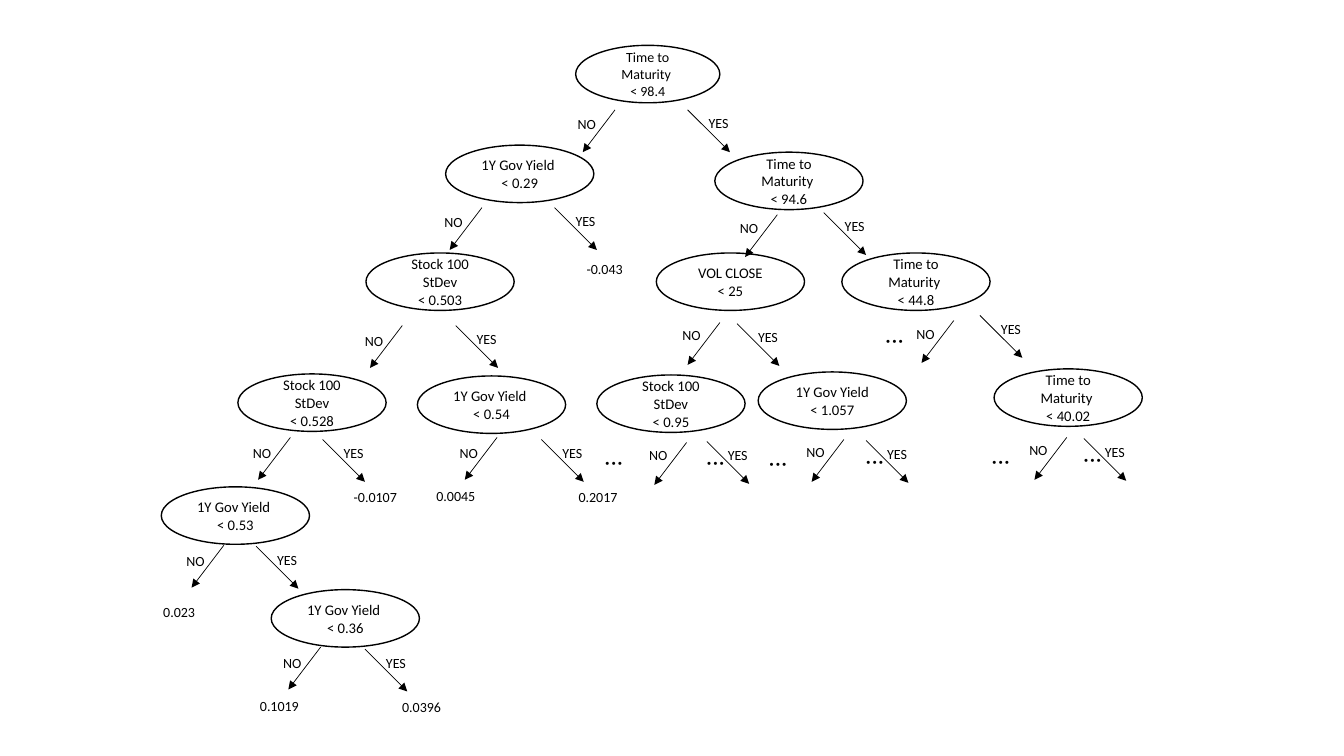
from lxml.etree import SubElement
from pptx import Presentation
from pptx.dml.color import RGBColor
from pptx.enum.shapes import MSO_CONNECTOR, MSO_SHAPE
from pptx.enum.text import MSO_ANCHOR, MSO_AUTO_SIZE, PP_ALIGN
from pptx.oxml.ns import qn
from pptx.util import Emu, Pt

BLACK = RGBColor(0, 0, 0)
FONT = "Calibri"
SCALE = 9144

TERM = "Time to Maturity "
YIELD = "1Y Gov Yield "
INDEX = "Stock 100 StDev"

NODES = [
    (709, 151, TERM, "< 94.6"),
    (442, 144, YIELD, "< 0.29"),
    (363, 251, INDEX, "< 0.503"),
    (651, 251, "VOL CLOSE", "< 25"),
    (835, 251, TERM, "< 44.8"),
    (236, 371, INDEX, "< 0.528"),
    (414, 373, YIELD, "< 0.54"),
    (592, 372, INDEX, "< 0.95"),
    (752, 369, "1Y Gov Yield", "< 1.057"),
    (986, 366, TERM, "< 40.02"),
    (160, 483, YIELD, "< 0.53"),
    (269, 585, YIELD, "< 0.36"),
]

SPLITS = [
    ((610, 109, 1), (682, 109)),
    ((478, 206, 1), (550, 206)),
    ((771, 213, 0), (817, 211)),
    ((399, 323, 2), (452, 323)),
    ((714, 320, -1), (731, 321)),
    ((946, 318, 0), (972, 313)),
    ((288, 434, 2), (320, 436)),
    ((493, 434, 2), (537, 436)),
    ((681, 439, -1), (701, 438)),
    ((837, 436, -1), (859, 437)),
    ((1058, 434, -1), (1075, 435)),
    ((222, 541, 2), (254, 542)),
    ((318, 642, 2), (362, 644)),
]

LEAVES = [
    (572, 254, 57, "-0.043"),
    (341, 480, 64, "-0.0107"),
    (423, 479, 60, "0.0045"),
    (564, 480, 60, "0.2017"),
    (152, 594, 52, "0.023"),
    (248, 687, 60, "0.1019"),
    (389, 688, 60, "0.0396"),
]

DOTS = [
    (588, 449, 39),
    (689, 449, 39),
    (751, 450, 39),
    (847, 448, 39),
    (886, 328, 19),
    (972, 448, 39),
    (1063, 446, 39),
]


class Tree:
    def __init__(self, deck):
        self.shapes = deck.slides.add_slide(deck.slide_layouts[6]).shapes

    def px(self, *sizes):
        return [Emu(size * SCALE) for size in sizes]

    def style(self, frame, size):
        for para in frame.paragraphs:
            for run in para.runs:
                run.font.name = FONT
                run.font.size = Pt(size)
                run.font.color.rgb = BLACK

    def node(self, x, y, name, test, width=147, size=10.5):
        oval = self.shapes.add_shape(MSO_SHAPE.OVAL, *self.px(x, y, width, 57))
        oval.shadow.inherit = False
        oval.fill.background()
        oval.line.color.rgb = BLACK
        oval.line.width = Pt(1)
        frame = oval.text_frame
        frame.word_wrap = True
        frame.vertical_anchor = MSO_ANCHOR.MIDDLE
        frame.text = f"{name}\n{test}"
        for para in frame.paragraphs:
            para.alignment = PP_ALIGN.CENTER
        self.style(frame, size)

    def text(self, x, y, width, words, height=27, size=10, wrap=False):
        box = self.shapes.add_textbox(*self.px(x, y, width, height))
        frame = box.text_frame
        frame.word_wrap = wrap
        frame.auto_size = MSO_AUTO_SIZE.SHAPE_TO_FIT_TEXT
        frame.text = words
        self.style(frame, size)
        return box

    def dots(self, x, y, width):
        self.text(x, y, width, "…", 40, 18, True).rotation = 180

    def arrow(self, x, y, run):
        line = self.shapes.add_connector(
            MSO_CONNECTOR.STRAIGHT, *self.px(x, y, x + run, y + 42))
        line.line.color.rgb = BLACK
        line.line.width = Pt(0.5)
        props = line.element.spPr
        SubElement(props.get_or_add_ln(), qn("a:tailEnd"), type="triangle")
        SubElement(props, qn("a:effectLst"))

    def split(self, no, yes):
        x, y, drop = no
        self.arrow(x, y, -32)
        self.text(x - 47, y + drop, 39, "NO")
        x, y = yes
        self.arrow(x, y, 42)
        self.text(x + 11, y, 40, "YES")


def main():
    deck = Presentation()
    deck.slide_width = Emu(1333 * SCALE)
    deck.slide_height = Emu(750 * SCALE)
    tree = Tree(deck)
    tree.node(571, 45, TERM, "< 98.4", 143, 10)
    for node in NODES:
        tree.node(*node)
    for pair in SPLITS:
        tree.split(*pair)
    for leaf in LEAVES:
        tree.text(*leaf)
    for spot in DOTS:
        tree.dots(*spot)
    deck.save("out.pptx")


if __name__ == "__main__":
    main()
